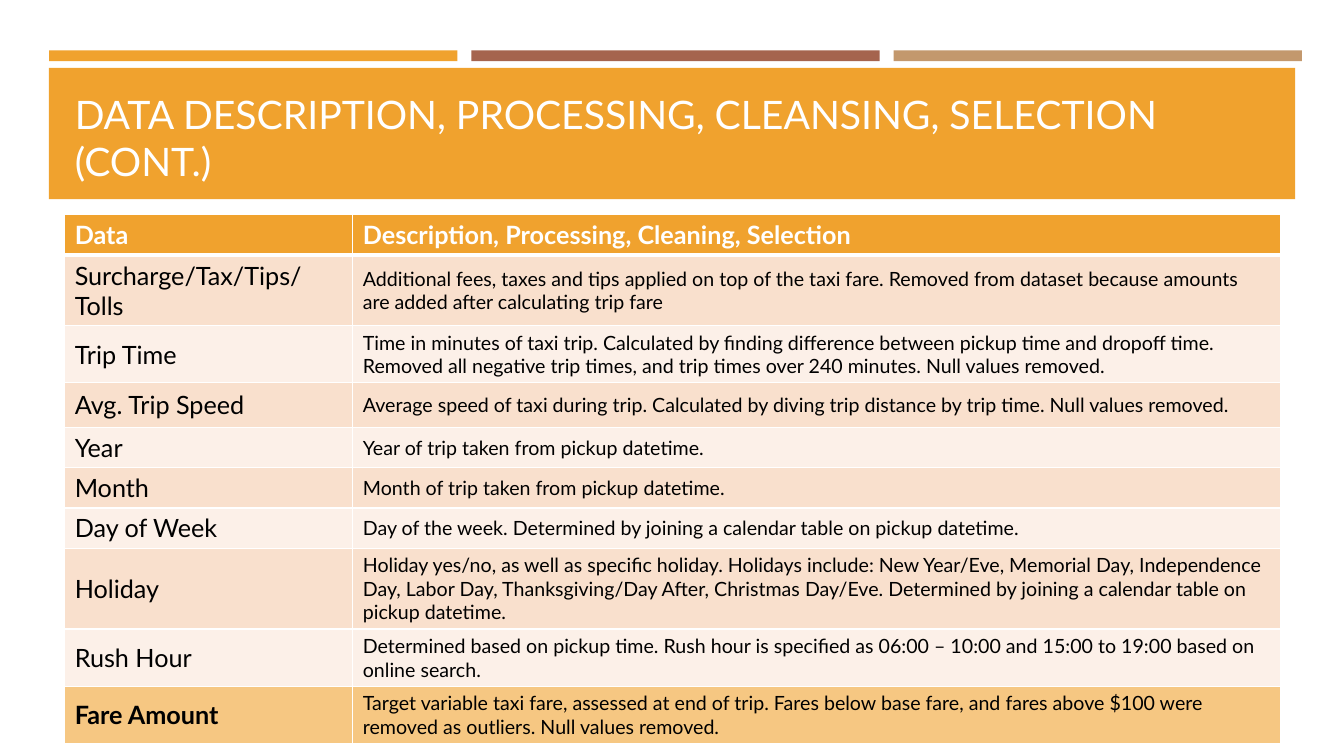
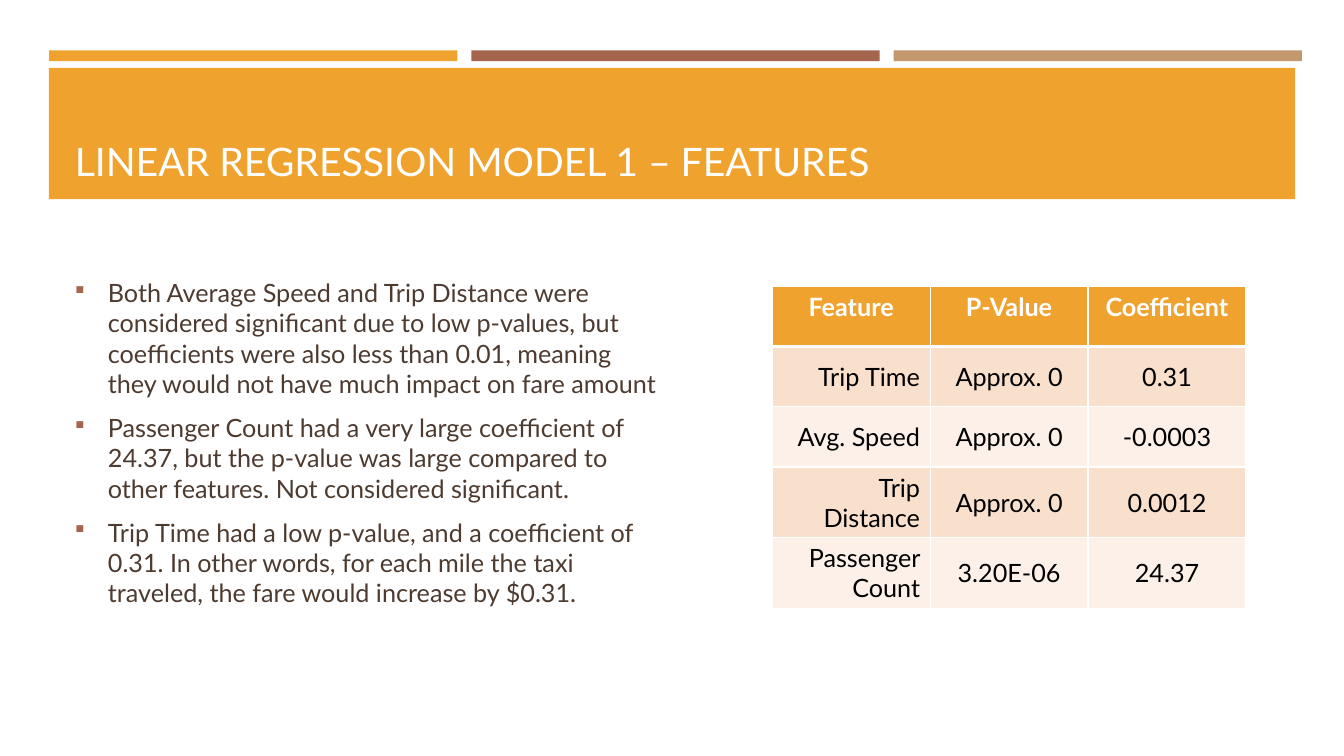
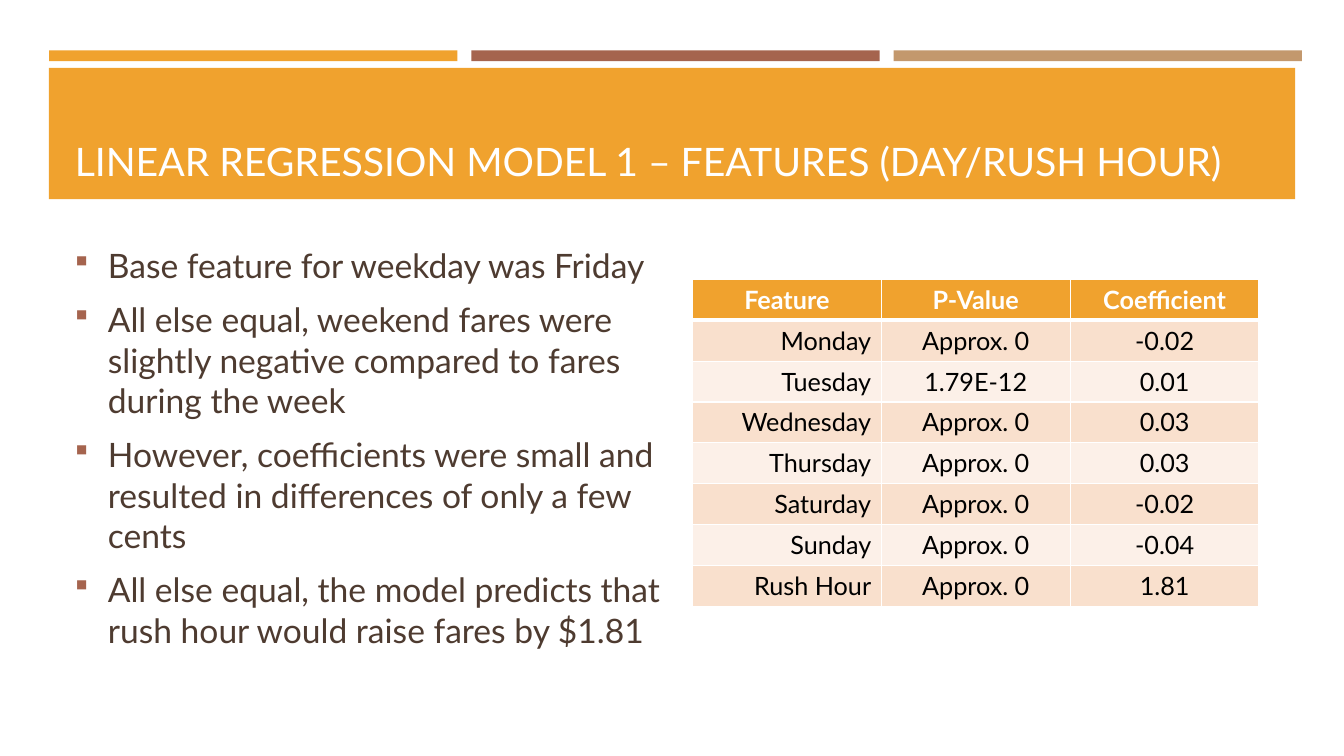
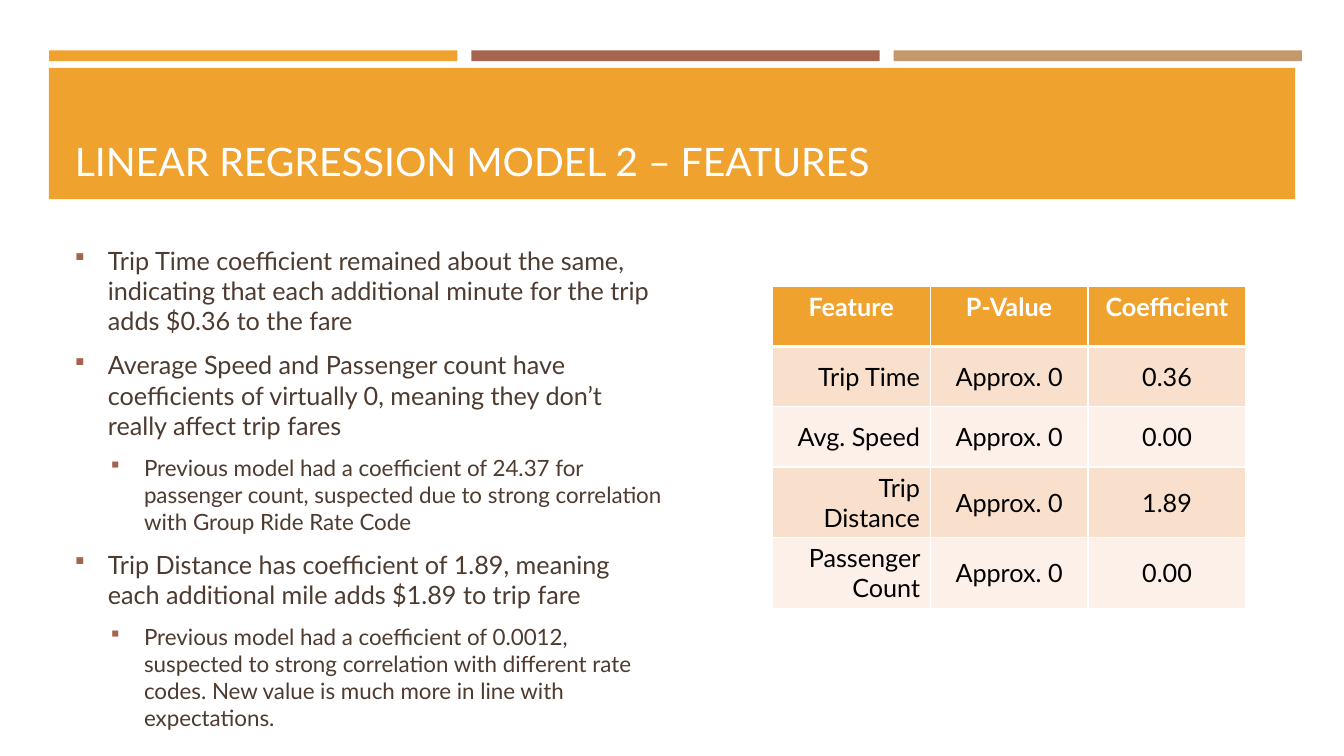
from dataclasses import dataclass

from lxml.etree import SubElement
from pptx import Presentation
from pptx.dml.color import RGBColor
from pptx.enum.shapes import MSO_SHAPE
from pptx.enum.text import MSO_ANCHOR, MSO_AUTO_SIZE, PP_ALIGN
from pptx.oxml.ns import qn
from pptx.util import Cm, Pt

# Shared look
FONT = "Lato"
ORANGE, BROWN, TAN = "F0A22E", "A5644E", "C3986D"
WHITE, BLACK, TEXT = "FFFFFF", "000000", "4E3B30"
ROW_FILLS = ("F9E0CD", "FCF0E8")
TARGET_FILL = "F6C782"
MARGIN = 1.63
CENTER, RIGHT, LEFT = PP_ALIGN.CENTER, PP_ALIGN.RIGHT, PP_ALIGN.LEFT


@dataclass
class Bullet:
    text: str
    level: int = 0
    size: float = 18


@dataclass
class BulletBox:
    bullets: list[Bullet]
    height: float = 10.21
    anchor: MSO_ANCHOR = MSO_ANCHOR.TOP


@dataclass
class TableSpec:
    left: float
    top: float
    cols: list[float]
    rows: list[float]
    data: list[tuple[str, ...]]
    aligns: tuple = (RIGHT, CENTER, CENTER)
    sizes: tuple = (18, 18, 18)
    anchor: MSO_ANCHOR = MSO_ANCHOR.MIDDLE
    target_row: int | None = None


@dataclass
class SlideSpec:
    title: str
    table: TableSpec
    body: BulletBox | None = None


def rgb(color: str) -> RGBColor:
    return RGBColor.from_string(color)


def add_text(p, text: str, *, size: float, color: str, bold: bool = False, align=LEFT) -> None:
    p.alignment = align
    r = p.add_run()
    r.text = text
    r.font.name, r.font.size, r.font.bold = FONT, Pt(size), bold
    r.font.color.rgb = rgb(color)


def add_bar(slide, left: float, top: float, width: float, height: float, color: str):
    sp = slide.shapes.add_shape(MSO_SHAPE.RECTANGLE, Cm(left), Cm(top), Cm(width), Cm(height))
    sp.shadow.inherit = False
    sp.fill.solid()
    sp.fill.fore_color.rgb = rgb(color)
    sp.line.fill.background()
    return sp


def add_bands(slide, layout) -> None:
    """Draw the header bands and move them to the layout, behind its placeholders."""
    bars = [add_bar(slide, 1.24 + i * 10.64, 1.27, 10.29, 0.27, color)
            for i, color in enumerate((ORANGE, BROWN, TAN))]
    bars.append(add_bar(slide, 1.23, 1.71, 31.41, 3.31, ORANGE))
    for i, sp in enumerate(bars):
        layout.shapes._spTree.insert(2 + i, sp._element)


def set_title(slide, text: str) -> None:
    sp = slide.shapes.title
    sp.left, sp.top, sp.width, sp.height = Cm(MARGIN), Cm(1.96), Cm(30.63), Cm(2.82)
    tf = sp.text_frame
    tf.word_wrap, tf.auto_size = True, MSO_AUTO_SIZE.NONE
    tf.vertical_anchor = MSO_ANCHOR.BOTTOM
    add_text(tf.paragraphs[0], text, size=28, color=WHITE)


def set_bullet(p, level: int) -> None:
    pPr = p._p.get_or_add_pPr()
    pPr.set("marL", str(Cm(0.84 + level * 0.91)))
    pPr.set("indent", str(-Cm(0.84)))
    SubElement(SubElement(pPr, qn("a:buClr")), qn("a:srgbClr"), val=BROWN)
    SubElement(pPr, qn("a:buSzPct"), val="92000")
    SubElement(pPr, qn("a:buFont"), typeface="Wingdings")
    SubElement(pPr, qn("a:buChar"), char="§")  # square in Wingdings


def add_body(slide, body: BulletBox) -> None:
    sp = slide.shapes.add_textbox(Cm(MARGIN), Cm(6.05), Cm(15.32), Cm(body.height))
    tf = sp.text_frame
    tf.word_wrap, tf.vertical_anchor = True, body.anchor
    for i, bullet in enumerate(body.bullets):
        p = tf.add_paragraph() if i else tf.paragraphs[0]
        p.level = bullet.level
        p.space_before, p.space_after = Pt(4), Pt(6)
        set_bullet(p, bullet.level)
        add_text(p, bullet.text, size=bullet.size, color=TEXT)


def set_cell(cell, fill: str, top: float, bottom: float) -> None:
    """White borders with the given top and bottom widths, then the fill."""
    tcPr = cell._tc.get_or_add_tcPr()
    for side, width in (("L", 1), ("R", 1), ("T", top), ("B", bottom)):
        ln = SubElement(tcPr, qn(f"a:ln{side}"), w=str(Pt(width)))
        SubElement(SubElement(ln, qn("a:solidFill")), qn("a:srgbClr"), val=WHITE)
    cell.fill.solid()
    cell.fill.fore_color.rgb = rgb(fill)


def add_table(slide, spec: TableSpec) -> None:
    table = slide.shapes.add_table(
        len(spec.rows), len(spec.cols), Cm(spec.left), Cm(spec.top),
        Cm(sum(spec.cols)), Cm(sum(spec.rows))).table
    for col, width in zip(table.columns, spec.cols):
        col.width = Cm(width)
    for i, (row, height, texts) in enumerate(zip(table.rows, spec.rows, spec.data)):
        row.height = Cm(height)
        header, target = i == 0, i == spec.target_row
        fill = ORANGE if header else TARGET_FILL if target else ROW_FILLS[(i - 1) % 2]
        for j, (cell, text) in enumerate(zip(row.cells, texts)):
            set_cell(cell, fill, 3 if i == 1 else 1, 3 if header else 1)
            cell.vertical_anchor = MSO_ANCHOR.TOP if header else spec.anchor
            align = spec.aligns[j]
            if header and align == RIGHT:
                align = CENTER
            add_text(cell.text_frame.paragraphs[0], text,
                     size=18 if header else spec.sizes[j],
                     color=WHITE if header else BLACK,
                     bold=header or (target and j == 0), align=align)


# Content
FEATURE_HEADER = ("Feature", "P-Value", "Coefficient")


def model_table(*values: tuple[str, str]) -> TableSpec:
    names = ("Trip Time", "Avg. Speed", "Trip Distance", "Passenger Count")
    return TableSpec(
        19.46, 7.21, [3.98] * 3, [1.52, 1.52, 1.52, 1.55, 1.65],
        [FEATURE_HEADER] + [(name, *value) for name, value in zip(names, values)])


DATA_TABLE = TableSpec(
    MARGIN, 5.41, [7.26, 23.37],
    [0.86, 1.4, 1.4, 1.12, 0.97, 0.89, 0.99, 1.4, 1.4, 1.4],
    [
        ("Data", "Description, Processing, Cleaning, Selection"),
        ("Surcharge/Tax/Tips/Tolls",
         "Additional fees, taxes and tips applied on top of the taxi fare. Removed from "
         "dataset because amounts are added after calculating trip fare"),
        ("Trip Time",
         "Time in minutes of taxi trip. Calculated by finding difference between pickup time "
         "and dropoff time. Removed all negative trip times, and trip times over 240 minutes. "
         "Null values removed."),
        ("Avg. Trip Speed",
         "Average speed of taxi during trip. Calculated by diving trip distance by trip time. "
         "Null values removed."),
        ("Year", "Year of trip taken from pickup datetime."),
        ("Month", "Month of trip taken from pickup datetime."),
        ("Day of Week",
         "Day of the week. Determined by joining a calendar table on pickup datetime."),
        ("Holiday",
         "Holiday yes/no, as well as specific holiday. Holidays include: New Year/Eve, "
         "Memorial Day, Independence Day, Labor Day, Thanksgiving/Day After, Christmas "
         "Day/Eve. Determined by joining a calendar table on pickup datetime."),
        ("Rush Hour",
         "Determined based on pickup time. Rush hour is specified as 06:00 – 10:00 and 15:00 "
         "to 19:00 based on online search."),
        ("Fare Amount",
         "Target variable taxi fare, assessed at end of trip. Fares below base fare, and fares "
         "above $100 were removed as outliers. Null values removed."),
    ],
    aligns=(LEFT, LEFT), sizes=(18, 14), target_row=9)

DAY_TABLE = TableSpec(
    17.45, 7.04, [4.76] * 3, [1.03] * 8,
    [
        FEATURE_HEADER,
        ("Monday", "Approx. 0", "-0.02"),
        ("Tuesday", "1.79E-12", "0.01"),
        ("Wednesday", "Approx. 0", "0.03"),
        ("Thursday", "Approx. 0", "0.03"),
        ("Saturday", "Approx. 0", "-0.02"),
        ("Sunday", "Approx. 0", "-0.04"),
        ("Rush Hour", "Approx. 0", "1.81"),
    ],
    anchor=MSO_ANCHOR.TOP)

SLIDES = [
    SlideSpec("DATA DESCRIPTION, PROCESSING, CLEANSING, SELECTION (CONT.)", DATA_TABLE),
    SlideSpec(
        "LINEAR REGRESSION MODEL 1 – FEATURES",
        model_table(("Approx. 0", "0.31"), ("Approx. 0", "-0.0003"),
                    ("Approx. 0", "0.0012"), ("3.20E-06", "24.37")),
        BulletBox([
            Bullet("Both Average Speed and Trip Distance were considered significant due to low "
                   "p-values, but coefficients were also less than 0.01, meaning they would not "
                   "have much impact on fare amount"),
            Bullet("Passenger Count had a very large coefficient of 24.37, but the p-value was "
                   "large compared to other features. Not considered significant."),
            Bullet("Trip Time had a low p-value, and a coefficient of 0.31. In other words, for "
                   "each mile the taxi traveled, the fare would increase by $0.31."),
        ], anchor=MSO_ANCHOR.MIDDLE)),
    SlideSpec(
        "LINEAR REGRESSION MODEL 1 – FEATURES (DAY/RUSH HOUR)",
        DAY_TABLE,
        BulletBox([Bullet(text, size=24) for text in (
            "Base feature for weekday was Friday",
            "All else equal, weekend fares were slightly negative compared to fares during "
            "the week",
            "However, coefficients were small and resulted in differences of only a few cents",
            "All else equal, the model predicts that rush hour would raise fares by $1.81",
        )])),
    SlideSpec(
        "LINEAR REGRESSION MODEL 2 – FEATURES",
        model_table(("Approx. 0", "0.36"), ("Approx. 0", "0.00"),
                    ("Approx. 0", "1.89"), ("Approx. 0", "0.00")),
        BulletBox([
            Bullet("Trip Time coefficient remained about the same, indicating that each "
                   "additional minute for the trip adds $0.36 to the fare"),
            Bullet("Average Speed and Passenger count have coefficients of virtually 0, meaning "
                   "they don’t really affect trip fares"),
            Bullet("Previous model had a coefficient of 24.37 for passenger count, suspected due "
                   "to strong correlation with Group Ride Rate Code", level=1, size=16),
            Bullet("Trip Distance has coefficient of 1.89, meaning each additional mile adds "
                   "$1.89 to trip fare"),
            Bullet("Previous model had a coefficient of 0.0012, suspected to strong correlation "
                   "with different rate codes. New value is much more in line with "
                   "expectations.", level=1, size=16),
        ], height=12.04)),
]


def main() -> None:
    prs = Presentation()
    prs.slide_width, prs.slide_height = Cm(33.87), Cm(19.05)
    layout = prs.slide_layouts[5]
    for i, spec in enumerate(SLIDES):
        slide = prs.slides.add_slide(layout)
        if i == 0:
            add_bands(slide, layout)
        set_title(slide, spec.title)
        if spec.body:
            add_body(slide, spec.body)
        add_table(slide, spec.table)
    prs.save("out.pptx")


if __name__ == "__main__":
    main()
